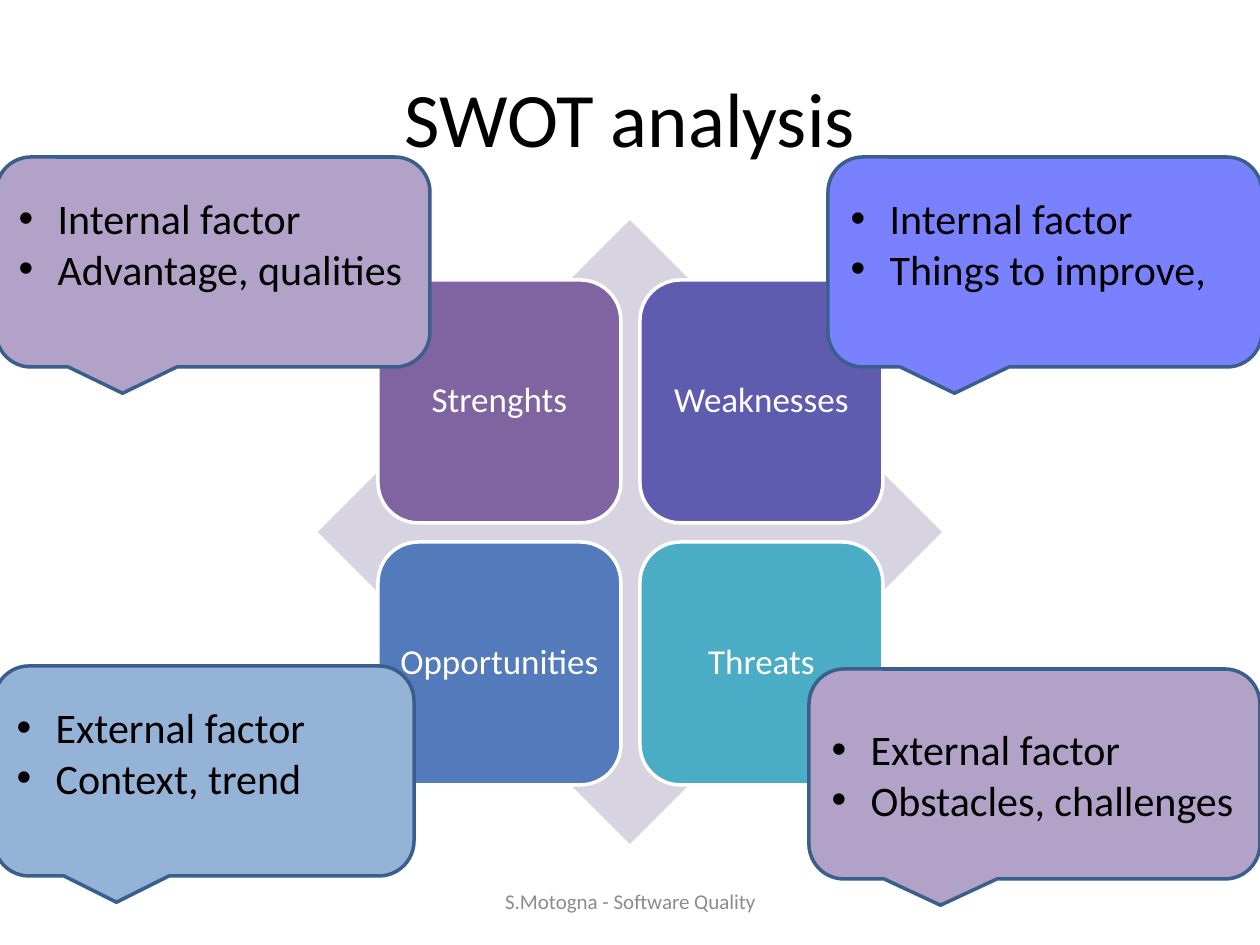
from dataclasses import dataclass

from lxml.etree import SubElement
from pptx import Presentation
from pptx.dml.color import RGBColor
from pptx.enum.shapes import MSO_SHAPE
from pptx.enum.text import MSO_ANCHOR, PP_ALIGN
from pptx.oxml.ns import qn
from pptx.shapes.autoshape import Shape
from pptx.util import Emu, Pt

PIXEL = 914400 // 126
FONT = "Calibri"
BULLET_INDENT = 39
COLORS = {
    "black": "000000",
    "white": "FFFFFF",
    "footer": "8C8C8C",
    "diamond": "D8D3E0",
    "outline": "3A5F8C",
    "purple": "8064A2",
    "indigo": "5F5BAE",
    "blue": "537ABA",
    "teal": "4BACC6",
    "lilac": "B3A2C7",
    "periwinkle": "7A81FF",
    "sky": "95B3D7",
}


@dataclass
class Box:
    left: int
    top: int
    width: int
    height: int

    def emu(self) -> list[Emu]:
        """Return the four lengths in EMU."""
        return [px(n) for n in (self.left, self.top, self.width, self.height)]


@dataclass
class Callout:
    box: Box
    color: str
    lines: tuple[str, str]
    bottom_inset: int


@dataclass
class Caption:
    box: Box
    text: str
    size: int
    color: str


CAPTIONS = [
    Caption(Box(63, 38, 1134, 158), "SWOT analysis", 44, "black"),
    Caption(Box(431, 876, 399, 50), "S.Motogna - Software Quality", 12, "footer"),
]
TILES = [
    ("Strenghts", "purple"),
    ("Weaknesses", "indigo"),
    ("Opportunities", "blue"),
    ("Threats", "teal"),
]
CALLOUTS = [
    Callout(Box(-4, 157, 434, 210), "lilac", ("Internal factor", "Advantage, qualities"), 44),
    Callout(Box(828, 157, 434, 210), "periwinkle", ("Internal factor", "Things to improve, "), 44),
    Callout(Box(-6, 666, 420, 210), "sky", ("External factor", "Context, trend"), 44),
    Callout(Box(809, 669, 451, 210), "lilac", ("External factor", "Obstacles, challenges"), 6),
]


def px(pixels: int) -> Emu:
    """Convert pixels to EMU."""
    return Emu(pixels * PIXEL)


def rgb(name: str) -> RGBColor:
    """Look up a named colour."""
    return RGBColor.from_string(COLORS[name])


def write(shape: Shape, text: str, size: int, color: str, align: PP_ALIGN) -> None:
    """Fill a shape with vertically centred text."""
    frame = shape.text_frame
    frame.word_wrap = True
    frame.vertical_anchor = MSO_ANCHOR.MIDDLE
    frame.text = text
    for paragraph in frame.paragraphs:
        paragraph.alignment = align
        for run in paragraph.runs:
            run.font.name = FONT
            run.font.size = Pt(size)
            run.font.color.rgb = rgb(color)


def add_shape(slide, kind: MSO_SHAPE, box: Box, fill: str, line: str | None = None) -> Shape:
    """Add a filled preset shape with an optional outline."""
    shape = slide.shapes.add_shape(kind, *box.emu())
    shape.shadow.inherit = False
    shape.fill.solid()
    shape.fill.fore_color.rgb = rgb(fill)
    if line:
        shape.line.color.rgb = rgb(line)
        shape.line.width = Pt(2)
    else:
        shape.line.fill.background()
    return shape


def add_caption(slide, caption: Caption) -> None:
    """Add a centred text box."""
    shape = slide.shapes.add_textbox(*caption.box.emu())
    write(shape, caption.text, caption.size, caption.color, PP_ALIGN.CENTER)


def add_matrix(slide) -> None:
    """Add the diamond and its two by two grid of tiles."""
    add_shape(slide, MSO_SHAPE.DIAMOND, Box(318, 220, 624, 624), "diamond")
    for index, (label, color) in enumerate(TILES):
        row, column = divmod(index, 2)
        box = Box(378 + 262 * column, 280 + 262 * row, 243, 243)
        tile = add_shape(slide, MSO_SHAPE.ROUNDED_RECTANGLE, box, color, "white")
        frame = tile.text_frame
        frame.margin_left = frame.margin_right = px(4)
        write(tile, label, 20, "white", PP_ALIGN.CENTER)
        frame.paragraphs[0].line_spacing = 0.9


def add_callout(slide, callout: Callout) -> None:
    """Add a speech callout holding a bulleted list."""
    shape = add_shape(slide, MSO_SHAPE.ROUNDED_RECTANGULAR_CALLOUT, callout.box, callout.color, "outline")
    write(shape, "\n".join(callout.lines), 24, "black", PP_ALIGN.LEFT)
    shape.text_frame.margin_bottom = px(callout.bottom_inset)
    for paragraph in shape.text_frame.paragraphs:
        properties = paragraph._p.get_or_add_pPr()
        properties.set("marL", str(px(BULLET_INDENT)))
        properties.set("indent", str(-px(BULLET_INDENT)))
        SubElement(properties, qn("a:buFont")).set("typeface", "Arial")
        SubElement(properties, qn("a:buChar")).set("char", "•")


def main() -> None:
    """Build and save the SWOT slide."""
    presentation = Presentation()
    presentation.slide_width = px(1260)
    presentation.slide_height = px(945)
    slide = presentation.slides.add_slide(presentation.slide_layouts[6])
    for caption in CAPTIONS:
        add_caption(slide, caption)
    add_matrix(slide)
    for callout in CALLOUTS:
        add_callout(slide, callout)
    presentation.save("out.pptx")


main()
